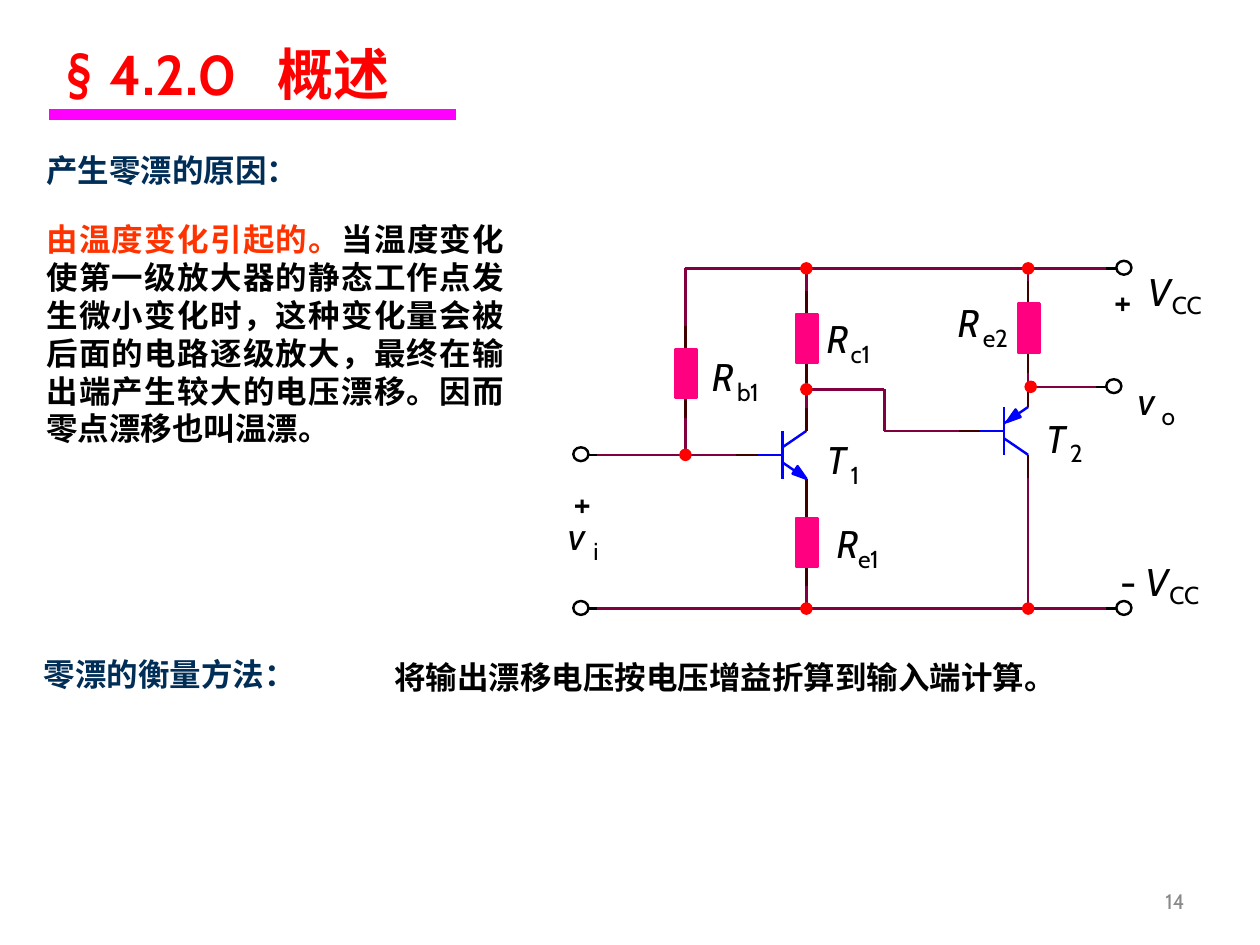
from lxml import etree
from pptx import Presentation
from pptx.dml.color import RGBColor
from pptx.enum.shapes import MSO_CONNECTOR, MSO_SHAPE
from pptx.enum.text import MSO_ANCHOR, MSO_AUTO_SIZE, PP_ALIGN
from pptx.oxml.ns import qn
from pptx.util import Inches, Pt

LINE = MSO_CONNECTOR.STRAIGHT
OVAL, RECT = MSO_SHAPE.OVAL, MSO_SHAPE.RECTANGLE
MIDDLE = MSO_ANCHOR.MIDDLE
FIXED = MSO_AUTO_SIZE.NONE
LEFT, RIGHT, JUST = PP_ALIGN.LEFT, PP_ALIGN.RIGHT, PP_ALIGN.JUSTIFY

BLACK = RGBColor(0, 0, 0)
NAVY = RGBColor(0x01, 0x2E, 0x57)
RED = RGBColor(0xFF, 0, 0)
ORANGE = RGBColor(0xFF, 0x33, 0)
BLUE = RGBColor(0, 0, 0xFF)
PINK = RGBColor(0xFF, 0, 0x80)
PURPLE = RGBColor(0xFF, 0, 0xFF)
BROWN = RGBColor(0x40, 0, 0)
WINE = RGBColor(0x80, 0, 0x40)
GRAY = RGBColor(0x89, 0x89, 0x89)
FONT = "Cabin"
THIN = 1.38


def style(font, size, color, bold=False, italic=False):
    font.name, font.size = FONT, Pt(size)
    font.bold, font.italic = bold, italic
    font.color.rgb = color


def place(shape, x, y, w, h):
    shape.left, shape.top = Inches(x), Inches(y)
    shape.width, shape.height = Inches(w), Inches(h)


def add_title(slide):
    title = slide.shapes.title
    place(title, 0.43, 0.21, 3.47, 0.61)
    frame = title.text_frame
    frame.word_wrap, frame.vertical_anchor = True, MIDDLE
    frame.auto_size = FIXED
    para = frame.paragraphs[0]
    para.alignment = LEFT
    tabs = etree.SubElement(para._p.get_or_add_pPr(), qn("a:tabLst"))
    etree.SubElement(tabs, qn("a:tab"), pos=str(Inches(1.67)), algn="l")
    for text, size in (("§", 32), (" ", 44), ("4.2.0\t概述", 32)):
        run = para.add_run()
        run.text = text
        style(run.font, size, RED, size == 32)


def add_text(slide, parts, x, y, w, h, size=18, align=JUST, bold=True):
    frame = slide.shapes.add_textbox(
        Inches(x), Inches(y), Inches(w), Inches(h)).text_frame
    frame.word_wrap = True
    para = frame.paragraphs[0]
    para.alignment = align
    style(para.font, size, parts[0][1], bold)
    for text, color in parts:
        run = para.add_run()
        run.text = text
        if len(parts) > 1:
            run.font.color.rgb = color
    return frame


def add_mark(slide, text, x, y, size=22, italic=False):
    frame = slide.shapes.add_textbox(
        Inches(x), Inches(y), Inches(0.28), Inches(size / 60)).text_frame
    frame.margin_left = frame.margin_right = 0
    frame.margin_top = frame.margin_bottom = 0
    frame.word_wrap, frame.auto_size = True, FIXED
    para = frame.paragraphs[0]
    para.text = text
    style(para.font, size, BLACK, italic=italic)


def add_label(slide, name, x, y, sub, dx, dy=0.19):
    add_mark(slide, name, x, y, italic=True)
    add_mark(slide, sub, x + dx, y + dy, 14)


def add_line(slide, x1, y1, x2, y2, color, width=THIN):
    line = slide.shapes.add_connector(
        LINE, Inches(x1), Inches(y1), Inches(x2), Inches(y2))
    line.line.color.rgb, line.line.width = color, Pt(width)
    etree.SubElement(line._element.spPr, qn("a:effectLst"))


def add_wire(slide, *points):
    for start, end in zip(points, points[1:]):
        add_line(slide, *start, *end, WINE)


def paint(shape, fill, edge):
    shape.shadow.inherit = False
    if fill is None:
        shape.fill.background()
    else:
        shape.fill.solid()
        shape.fill.fore_color.rgb = fill
    shape.line.color.rgb, shape.line.width = edge, Pt(THIN)


def add_form(slide, kind, x, y, w, h, fill, edge):
    shape = slide.shapes.add_shape(
        kind, Inches(x), Inches(y), Inches(w), Inches(h))
    paint(shape, fill, edge)


def add_dot(slide, x, y):
    add_form(slide, OVAL, x - 0.04, y - 0.04, 0.08, 0.08, RED, RED)


def add_port(slide, x, y, side):
    add_form(slide, OVAL, x - 0.06, y - 0.06, 0.12, 0.11, None, BLACK)
    add_line(slide, x + 0.06 * side, y, x + 0.14 * side, y, BLACK)


def add_load(slide, x, y):
    add_line(slide, x, y - 0.19, x, y, BROWN)
    add_line(slide, x, y + 0.37, x, y + 0.56, BROWN)
    add_form(slide, RECT, x - 0.08, y, 0.17, 0.39, PINK, PINK)


def add_gate(slide, x, y, tips):
    for sign in (-1, 1):
        end = y + sign * 0.19
        add_line(slide, x, y + sign * 0.06, x + 0.19, end, BLUE)
        add_line(slide, x + 0.19, end, x + 0.19, y + sign * 0.38, BROWN)
    add_line(slide, x, y - 0.19, x, y + 0.19, BLUE)
    add_line(slide, x - 0.19, y, x, y, BLUE)
    add_line(slide, x - 0.38, y, x - 0.19, y, BROWN)
    points = [(Inches(x + dx), Inches(y + dy)) for dx, dy in tips]
    form = slide.shapes.build_freeform(*points[0])
    form.add_line_segments(points[1:], close=True)
    paint(form.convert_to_shape(), BLUE, BLUE)


def add_circuit(slide):
    left, mid, right = 5.44, 6.4, 8.16
    top, low, base = 2.13, 4.83, 3.61
    for x, y, side in ((4.61, base, 1), (4.61, low, 1), (8.92, top, -1),
                       (8.84, 3.07, -1), (8.92, low, -1)):
        add_port(slide, x, y, side)
    for x, y in ((left, 2.77), (mid, 2.49), (mid, 4.11), (right, 2.41)):
        add_load(slide, x, y)
    add_gate(slide, 6.21, base, ((0.19, 0.19), (0.12, 0.09), (0.08, 0.15)))
    add_gate(slide, 7.97, 3.42, ((0.02, -0.07), (0.09, -0.17), (0.13, -0.11)))

    add_wire(slide, (left, base), (left, 3.32))
    add_wire(slide, (left, 2.59), (left, top), (8.78, top))
    add_wire(slide, (4.74, base), (5.84, base))
    add_wire(slide, (4.74, low), (8.78, low))
    add_wire(slide, (mid, top), (mid, 2.31))
    add_wire(slide, (mid, 3.04), (mid, 3.24))
    add_wire(slide, (mid, 3.09), (7.02, 3.09), (7.02, 3.42), (7.61, 3.42))
    add_wire(slide, (mid, 4.65), (mid, low))
    add_wire(slide, (right, top), (right, 2.23))
    add_wire(slide, (right, 2.96), (right, 3.07), (8.7, 3.07))
    add_wire(slide, (right, 3.79), (right, low))
    for x, y in ((left, base), (mid, top), (mid, 3.09), (mid, low),
                 (right, top), (8.18, 3.07), (right, low)):
        add_dot(slide, x, y)

    for text, x, y in (("+", 4.55, 3.8), ("+", 8.84, 2.2), ("-", 8.89, 4.43)):
        add_mark(slide, text, x, y)
    for name, x, y, sub, dx in (
            ("R", 5.65, 2.8, "b1", 0.2), ("R", 6.56, 2.5, "c1", 0.19),
            ("R", 6.64, 4.13, "e1", 0.17), ("R", 7.6, 2.37, "e2", 0.2),
            ("T", 6.56, 3.46, "1", 0.19), ("T", 8.3, 3.29, "2", 0.19),
            ("v", 4.51, 4.06, "i", 0.2), ("v", 9.03, 2.99, "o", 0.19)):
        add_label(slide, name, x, y, sub, dx)
    for x, y in ((9.11, 2.13), (9.09, 4.43)):
        add_label(slide, "V", x, y, "CC", 0.19, 0.17)


def main():
    deck = Presentation()
    deck.slide_width, deck.slide_height = Inches(10), Inches(7.5)
    slide = deck.slides.add_slide(deck.slide_layouts[5])
    add_title(slide)
    add_line(slide, 0.39, 0.91, 3.62, 0.91, PURPLE, 6)
    add_text(slide, [("产生零漂的原因：", NAVY)], 0.27, 1.15, 3.25, 0.5)
    add_text(slide, [
        ("由温度变化引起的。", ORANGE),
        ("当温度变化使第一级放大器的静态工作点发生微小变化时，"
         "这种变化量会被后面的电路逐级放大，最终在输出端产生较大的电压漂移。"
         "因而零点漂移也叫温漂。", BLACK)], 0.27, 1.7, 3.83, 3.3)
    add_text(slide, [("零漂的衡量方法：", NAVY)], 0.25, 5.15, 3.25, 0.5)
    add_text(slide, [("将输出漂移电压按电压增益折算到输入端计算。", BLACK)],
             3.03, 5.17, 5.58, 0.9)
    add_circuit(slide)
    page = add_text(slide, [("14", GRAY)], 7.17, 6.95, 2.33, 0.4, 12, RIGHT, False)
    page.vertical_anchor = MIDDLE
    deck.save("out.pptx")


if __name__ == "__main__":
    main()
